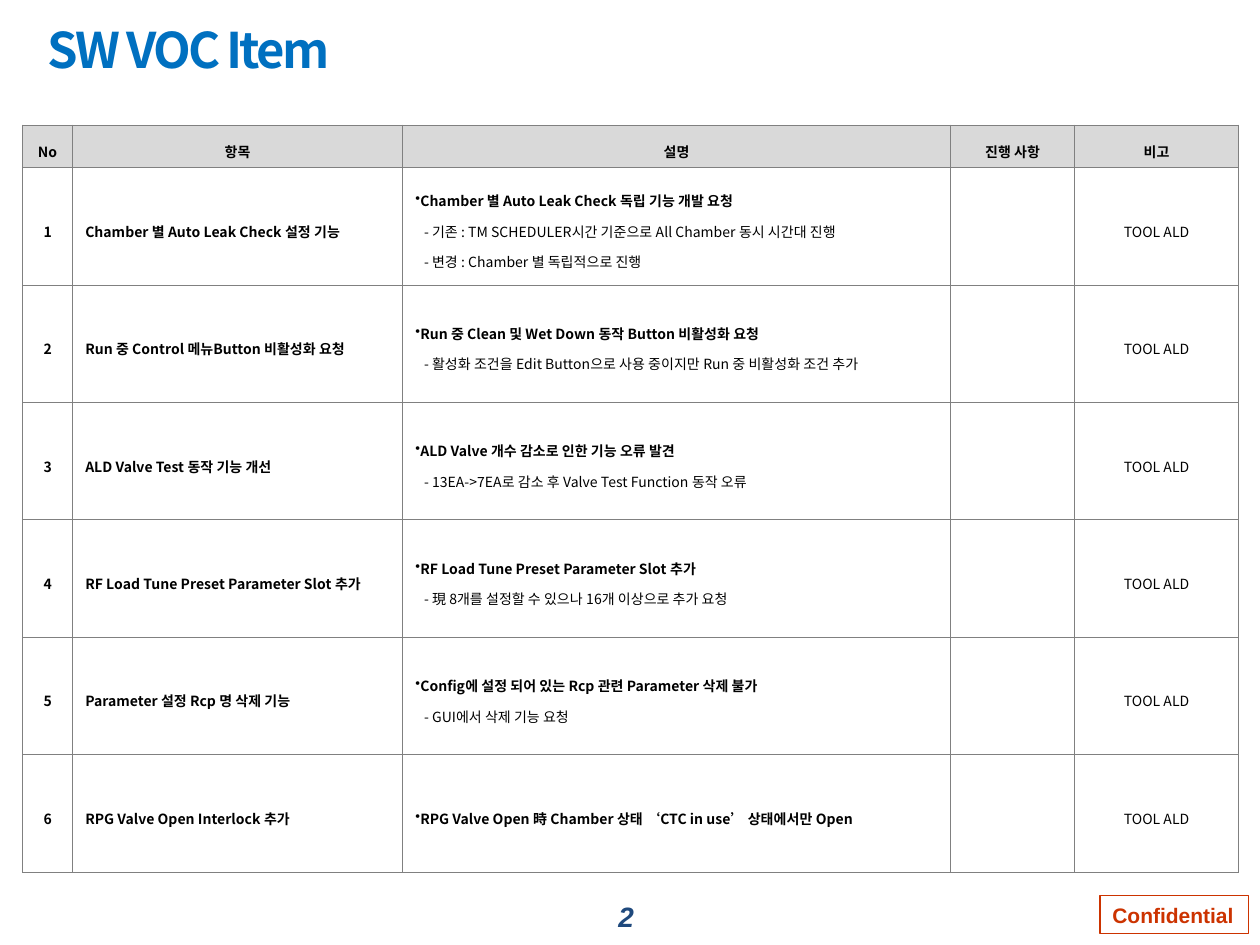
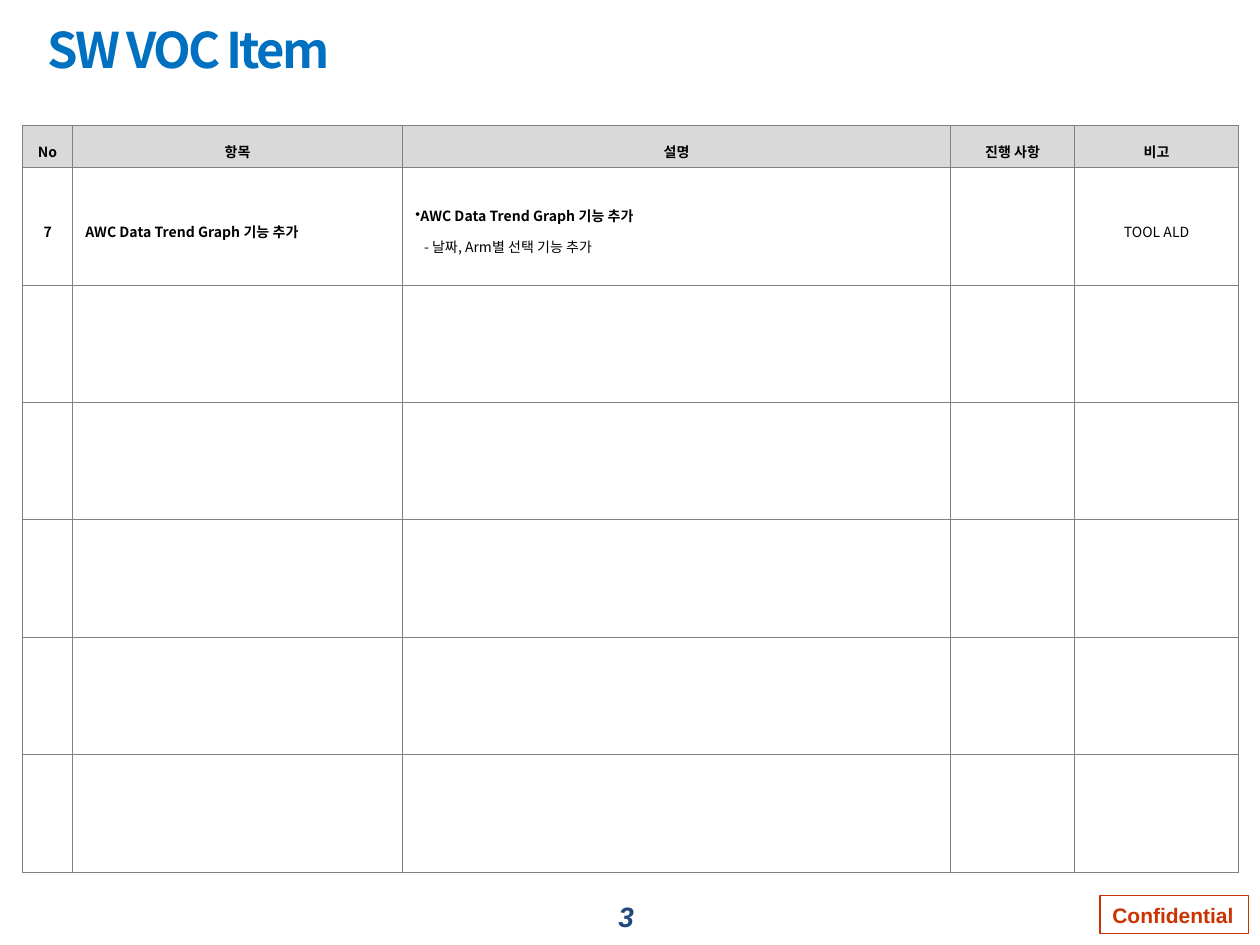
from dataclasses import dataclass

from lxml import etree
from pptx import Presentation
from pptx.dml.color import RGBColor
from pptx.enum.shapes import MSO_SHAPE
from pptx.enum.text import MSO_ANCHOR, PP_ALIGN
from pptx.oxml.ns import qn
from pptx.util import Inches, Pt

RECT = MSO_SHAPE.RECTANGLE
MIDDLE = MSO_ANCHOR.MIDDLE
LEFT, CENTER = PP_ALIGN.LEFT, PP_ALIGN.CENTER


@dataclass(frozen=True)
class Theme:
    """Colours, fonts and type sizes of the deck."""

    title: str = "0070C0"
    ink: str = "000000"
    header: str = "D9D9D9"
    grid: str = "808080"
    number: str = "1F497D"
    stamp: str = "CC3300"
    paper: str = "FFFFFF"
    body_font: str = "Noto Sans CJK KR"
    footer_font: str = "Arial"
    title_size: float = 28
    number_size: float = 16
    stamp_size: float = 12
    table_size: float = 8
    grid_width: float = 0.25
    stamp_width: float = 0.75


T = Theme()
WIDTH, HEIGHT = Inches(10), Inches(7.5)

TITLE_BOX = (2.8, 0.27, 74.8, 9.87)
NUMBER_BOX = (47.3, 94.53, 4.8, 4.93)
STAMP_BOX = (87.3, 94.8, 11.8, 4)
TABLE_ORIGIN = (1.8, 13.2)
COLUMNS = (3.97, 26.19, 43.49, 9.84, 13.02)
HEADER_ROW, BODY_ROW, BODY_ROWS = 4.5, 12.43, 6

HEADINGS = ("No", "항목", "설명", "진행 사항", "비고")
REMARK = "TOOL ALD"
FIRST_PAGE = 2
PAGES = (
    (
        ("Chamber 별 Auto Leak Check 설정 기능",
         "Chamber 별 Auto Leak Check 독립 기능 개발 요청",
         "- 기존 : TM SCHEDULER시간 기준으로 All Chamber 동시 시간대 진행",
         "- 변경 : Chamber 별 독립적으로 진행"),
        ("Run 중 Control 메뉴Button 비활성화 요청",
         "Run 중 Clean 및 Wet Down 동작 Button 비활성화 요청",
         "- 활성화 조건을 Edit Button으로 사용 중이지만 Run 중 비활성화 조건 추가"),
        ("ALD Valve Test 동작 기능 개선",
         "ALD Valve 개수 감소로 인한 기능 오류 발견",
         "- 13EA->7EA로 감소 후 Valve Test Function 동작 오류"),
        ("RF Load Tune Preset Parameter Slot 추가",
         "RF Load Tune Preset Parameter Slot 추가",
         "- 現 8개를 설정할 수 있으나 16개 이상으로 추가 요청"),
        ("Parameter 설정 Rcp 명 삭제 기능",
         "Config에 설정 되어 있는 Rcp 관련 Parameter 삭제 불가",
         "- GUI에서 삭제 기능 요청"),
        ("RPG Valve Open Interlock 추가",
         "RPG Valve Open 時 Chamber 상태 ‘CTC in use’ 상태에서만 Open"),
    ),
    (
        ("AWC Data Trend Graph 기능 추가",
         "AWC Data Trend Graph 기능 추가",
         "- 날짜, Arm별 선택 기능 추가"),
    ),
)


def rgb(color):
    """Turn a hex string into a colour."""
    return RGBColor.from_string(color)


def across(share):
    """Length of a percentage of the slide's width."""
    return round(WIDTH * share / 100)


def down(share):
    """Length of a percentage of the slide's height."""
    return round(HEIGHT * share / 100)


def place(box):
    """Convert a box of percentages to slide lengths."""
    x, y, w, h = box
    return across(x), down(y), across(w), down(h)


def write(p, text, *, size=T.table_size, color=T.ink, font=T.body_font, bold=False,
          italic=False, align=LEFT, line=None, spacing=None):
    """Add formatted text to a paragraph."""
    p.alignment = align
    if line:
        p.line_spacing = line
    r = p.add_run()
    r.text = text
    f = r.font
    f.size, f.name, f.bold, f.italic = Pt(size), font, bold, italic
    f.color.rgb = rgb(color)
    props = r._r.get_or_add_rPr()
    etree.SubElement(props, qn("a:ea"), typeface=font)
    if spacing:
        props.set("spc", str(spacing))


def indent(p, margin, first=0, bullet=None):
    """Set the paragraph's indents in inches and its optional bullet."""
    props = p._p.get_or_add_pPr()
    props.set("marL", str(Inches(margin)))
    props.set("indent", str(Inches(first)))
    if bullet:
        etree.SubElement(props, qn("a:buChar"), char=bullet)


def add_label(s, box, text, *, wrap=False, **fmt):
    """Add a text box with one vertically centred line."""
    tf = s.shapes.add_textbox(*place(box)).text_frame
    tf.word_wrap = wrap
    tf.vertical_anchor = MIDDLE
    write(tf.paragraphs[0], text, **fmt)


def add_stamp(s, text):
    """Add the outlined confidentiality stamp."""
    sp = s.shapes.add_shape(RECT, *place(STAMP_BOX))
    sp.shadow.inherit = False
    sp.fill.solid()
    sp.fill.fore_color.rgb = rgb(T.paper)
    sp.line.color.rgb = rgb(T.stamp)
    sp.line.width = Pt(T.stamp_width)
    tf = sp.text_frame
    tf.word_wrap = False
    tf.vertical_anchor = MIDDLE
    write(tf.paragraphs[0], text, size=T.stamp_size, color=T.stamp,
          font=T.footer_font, bold=True)


def style_cell(cell, fill=None):
    """Set a cell's borders, fill and anchor."""
    cell.vertical_anchor = MIDDLE
    props = cell._tc.get_or_add_tcPr()
    for side in ("lnL", "lnR", "lnT", "lnB"):
        ln = etree.SubElement(props, qn(f"a:{side}"), w=str(Pt(T.grid_width)))
        solid = etree.SubElement(ln, qn("a:solidFill"))
        etree.SubElement(solid, qn("a:srgbClr"), val=T.grid)
    if fill:
        cell.fill.solid()
        cell.fill.fore_color.rgb = rgb(fill)
    else:
        cell.fill.background()


def write_cell(cell, text, **fmt):
    """Write one line in a table cell."""
    write(cell.text_frame.paragraphs[0], text, line=1.5, **fmt)


def write_description(cell, summary, details):
    """Write a bulleted summary with its detail lines below."""
    write_cell(cell, summary, bold=True)
    tf = cell.text_frame
    indent(tf.paragraphs[0], 0.04, -0.12, "•")
    for detail in details:
        p = tf.add_paragraph()
        write(p, detail, line=1.5)
        indent(p, 0.07)


def add_item_table(s, items, first_no):
    """Add the table of requests, numbered from first_no."""
    x, y = TABLE_ORIGIN
    heights = [HEADER_ROW] + [BODY_ROW] * BODY_ROWS
    table = s.shapes.add_table(len(heights), len(COLUMNS), across(x), down(y),
                               across(sum(COLUMNS)), down(sum(heights))).table
    for column, share in zip(table.columns, COLUMNS):
        column.width = across(share)
    for i, (row, share) in enumerate(zip(table.rows, heights)):
        row.height = down(share)
        for cell in row.cells:
            style_cell(cell, None if i else T.header)
    for i, heading in enumerate(HEADINGS):
        write_cell(table.cell(0, i), heading, bold=True, align=CENTER)
    for i, (name, summary, *details) in enumerate(items):
        no, item, description, _, remark = table.rows[i + 1].cells
        write_cell(no, str(first_no + i), bold=True, align=CENTER)
        write_cell(item, name, bold=True)
        write_description(description, summary, details)
        write_cell(remark, REMARK, align=CENTER)


def add_page(prs, page, items, first_no):
    """Add one slide with title, table and footer."""
    s = prs.slides.add_slide(prs.slide_layouts[6])
    add_label(s, NUMBER_BOX, str(page), size=T.number_size, color=T.number,
              font=T.footer_font, bold=True, italic=True, align=CENTER)
    add_stamp(s, "Confidential")
    add_item_table(s, items, first_no)
    add_label(s, TITLE_BOX, "SW VOC Item", wrap=True, size=T.title_size,
              color=T.title, bold=True, spacing=-150)


def main():
    """Build and save the deck."""
    prs = Presentation()
    prs.slide_width, prs.slide_height = WIDTH, HEIGHT
    first_no = 1
    for page, items in enumerate(PAGES, FIRST_PAGE):
        add_page(prs, page, items, first_no)
        first_no += len(items)
    prs.save("out.pptx")


if __name__ == "__main__":
    main()
